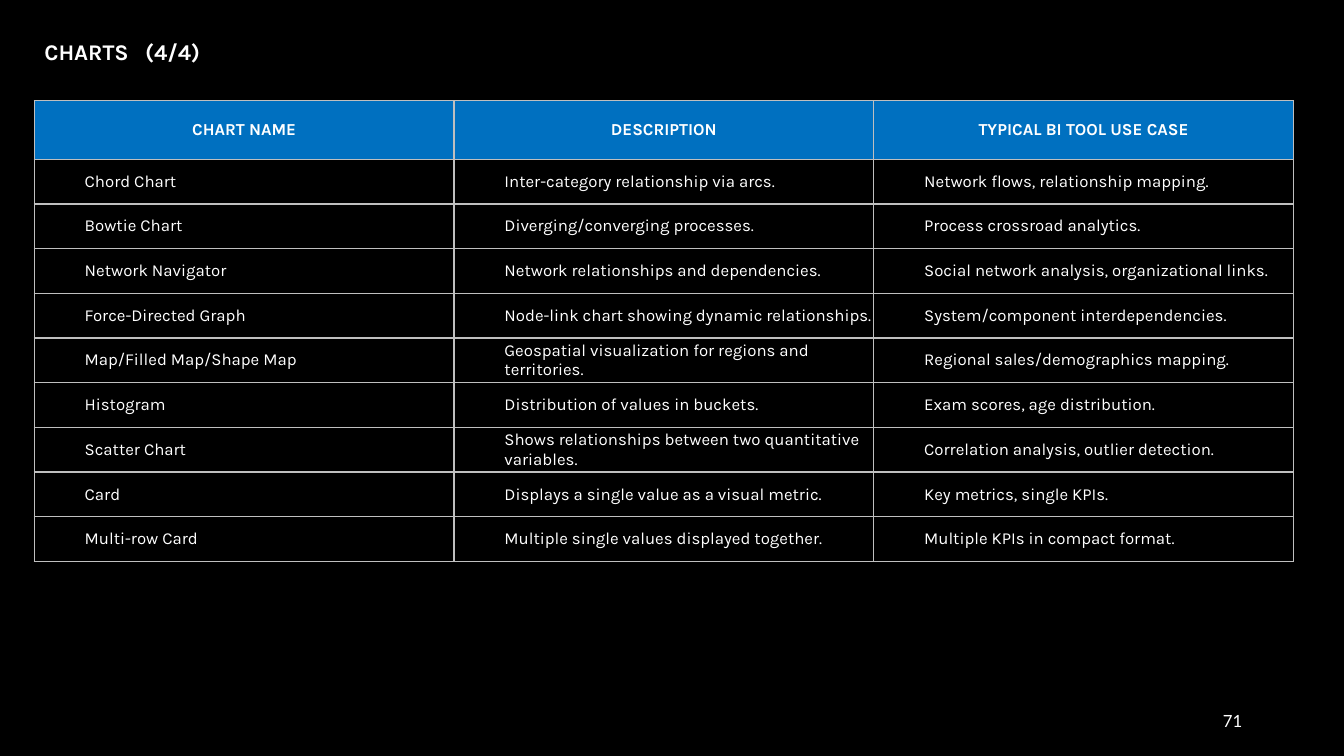
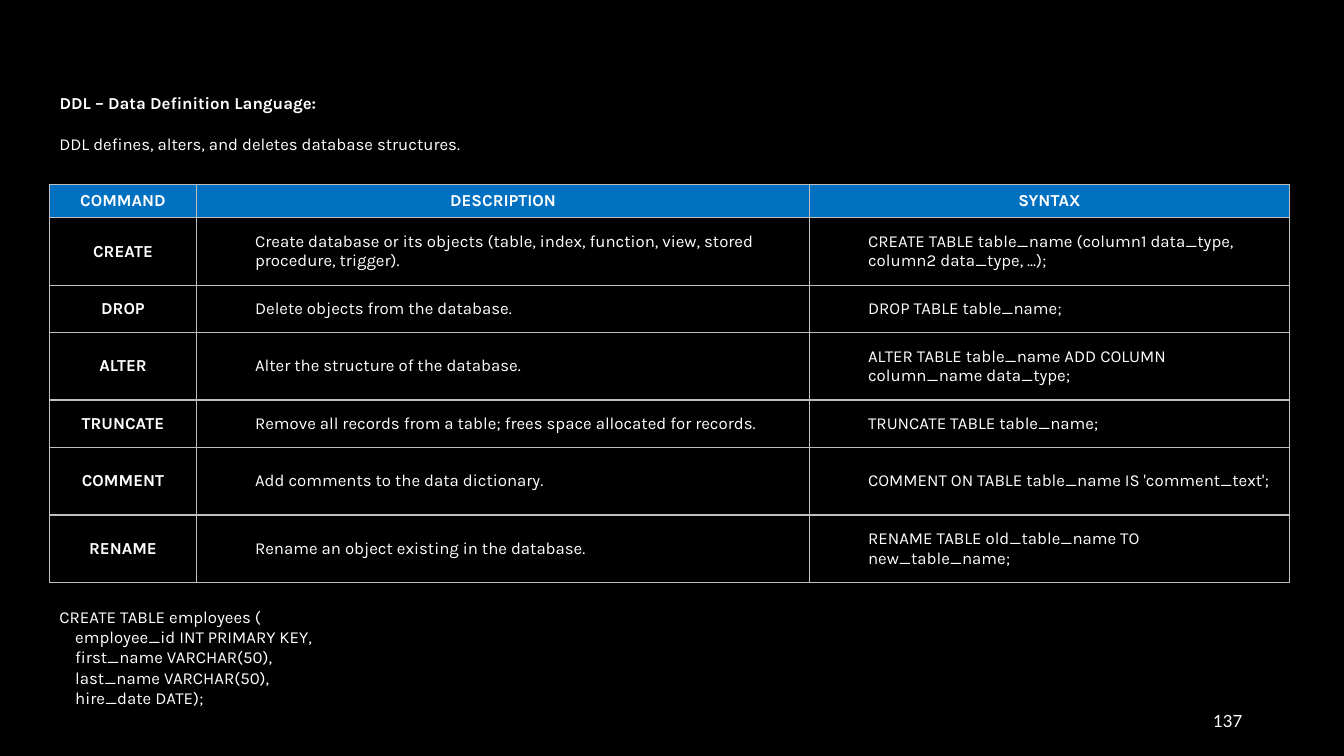
from lxml import etree
from pptx import Presentation
from pptx.dml.color import RGBColor
from pptx.enum.text import MSO_ANCHOR, PP_ALIGN
from pptx.oxml.ns import qn
from pptx.util import Inches, Pt

BLACK = RGBColor(0x00, 0x00, 0x00)
WHITE = RGBColor(0xFF, 0xFF, 0xFF)
BLUE = RGBColor(0x00, 0x70, 0xC0)
GREY = RGBColor(0xBF, 0xBF, 0xBF)

LEFT, CENTER, RIGHT = PP_ALIGN.LEFT, PP_ALIGN.CENTER, PP_ALIGN.RIGHT
MIDDLE = MSO_ANCHOR.MIDDLE
TITLE_ONLY = 5

BODY = {"name": "Karla", "size": Pt(12), "bold": False}
BOLD = BODY | {"bold": True}
TITLE = BOLD | {"size": Pt(16)}
NUMBER = BODY | {"name": "Lato"}

CHARTS = [
    ("CHART NAME", "DESCRIPTION", "TYPICAL BI TOOL USE CASE"),
    ("Chord Chart", "Inter-category relationship via arcs.",
     "Network flows, relationship mapping."),
    ("Bowtie Chart", "Diverging/converging processes.",
     "Process crossroad analytics."),
    ("Network Navigator", "Network relationships and dependencies.",
     "Social network analysis, organizational links."),
    ("Force-Directed Graph", "Node-link chart showing dynamic relationships.",
     "System/component interdependencies."),
    ("Map/Filled Map/Shape Map",
     "Geospatial visualization for regions and territories.",
     "Regional sales/demographics mapping."),
    ("Histogram", "Distribution of values in buckets.",
     "Exam scores, age distribution."),
    ("Scatter Chart",
     "Shows relationships between two quantitative variables.",
     "Correlation analysis, outlier detection."),
    ("Card", "Displays a single value as a visual metric.",
     "Key metrics, single KPIs."),
    ("Multi-row Card", "Multiple single values displayed together.",
     "Multiple KPIs in compact format."),
]

COMMANDS = [
    ("COMMAND", "DESCRIPTION", "SYNTAX"),
    ("CREATE", "Create database or its objects (table, index, function, view, "
     "stored procedure, trigger).",
     "CREATE TABLE table_name (column1 data_type, column2 data_type, ...);"),
    ("DROP", "Delete objects from the database.", "DROP TABLE table_name;"),
    ("ALTER", "Alter the structure of the database.",
     "ALTER TABLE table_name ADD COLUMN column_name data_type;"),
    ("TRUNCATE",
     "Remove all records from a table; frees space allocated for records.",
     "TRUNCATE TABLE table_name;"),
    ("COMMENT", "Add comments to the data dictionary.",
     "COMMENT ON TABLE table_name IS 'comment_text';"),
    ("RENAME", "Rename an object existing in the database.",
     "RENAME TABLE old_table_name TO new_table_name;"),
]

CODE = """CREATE TABLE employees (
    employee_id INT PRIMARY KEY,
    first_name VARCHAR(50),
    last_name VARCHAR(50),
    hire_date DATE);"""


def write(frame, text, style, align=LEFT):
    frame.word_wrap = True
    frame.vertical_anchor = MIDDLE
    frame.text = text
    for para in frame.paragraphs:
        para.alignment = align
        for key, value in style.items():
            setattr(para.font, key, value)
        para.font.color.rgb = WHITE


def add_text(slide, box, text, style=BODY, align=LEFT):
    shape = slide.shapes.add_textbox(*map(Inches, box))
    write(shape.text_frame, text, style, align)


def set_title(slide, box, text, style, tab=None):
    """Place the title; tab is the stop, in inches, for text after a tab."""
    title = slide.shapes.title
    title.left, title.top, title.width, title.height = map(Inches, box)
    frame = title.text_frame
    frame.text = text
    if tab:
        props = frame.paragraphs[0]._p.get_or_add_pPr()
        stops = etree.SubElement(props, qn("a:tabLst"))
        etree.SubElement(stops, qn("a:tab"), pos=str(Inches(tab)), algn="l")
    write(frame, text, style)


def add_borders(cell):
    props = cell._tc.get_or_add_tcPr()
    for side in ("lnL", "lnR", "lnT", "lnB"):
        line = etree.SubElement(props, qn(f"a:{side}"), w=str(Pt(1)))
        fill = etree.SubElement(line, qn("a:solidFill"))
        etree.SubElement(fill, qn("a:srgbClr"), val=str(GREY))


def fill_cell(cell, text, head, key, pad):
    """Fill one cell; head and key cells are bold and centred."""
    strong = head or key
    side, edge = map(Inches, pad)
    cell.margin_left = cell.margin_right = side
    cell.margin_top = cell.margin_bottom = edge
    cell.vertical_anchor = MIDDLE
    write(cell.text_frame, text, BOLD if strong else BODY,
          CENTER if strong else LEFT)
    if not strong:
        props = cell.text_frame.paragraphs[0]._p.get_or_add_pPr()
        props.set("marL", str(Inches(0.5)))
    add_borders(cell)
    if head:
        cell.fill.solid()
        cell.fill.fore_color.rgb = BLUE
    else:
        cell.fill.background()


def add_grid(slide, spot, rows, widths, heights, pad=(0, 0), keyed=False):
    """Add a table; keyed makes the first column a bold key."""
    box = (*spot, sum(widths), sum(heights))
    table = slide.shapes.add_table(
        len(rows), len(widths), *map(Inches, box)).table
    for col, width in zip(table.columns, widths):
        col.width = Inches(width)
    for row, height in zip(table.rows, heights):
        row.height = Inches(height)
    for r, texts in enumerate(rows):
        for c, text in enumerate(texts):
            fill_cell(table.cell(r, c), text, r == 0, keyed and c == 0, pad)


def add_slide(deck, number):
    slide = deck.slides.add_slide(deck.slide_layouts[TITLE_ONLY])
    add_text(slide, (9.42, 6.95, 3, 0.4), number, NUMBER, RIGHT)
    return slide


def add_charts(deck):
    slide = add_slide(deck, "71")
    set_title(slide, (0.34, 0.24, 12.66, 0.54), "CHARTS\t(4/4)", TITLE, tab=11)
    count = len(CHARTS) - 1
    add_grid(slide, (0.34, 1), CHARTS, [12.49 / 3] * 3,
             [0.58] + [3.99 / count] * count)


def add_ddl(deck):
    slide = add_slide(deck, "137")
    left, width = 0.49, 6.86
    set_title(slide, (left, 0.77, width, 0.5),
              "DDL – Data Definition Language:", BOLD)
    add_text(slide, (left, 1.23, width, 0.4),
             "DDL defines, alters, and deletes database structures.")
    low, tall = 0.47, 0.67
    add_grid(slide, (left, 1.83), COMMANDS, [1.46, 6.08, 4.76],
             [0.33, tall, low, tall, low, tall, tall],
             pad=(0.08, 0.04), keyed=True)
    add_text(slide, (left, 5.98, width, 1.08), CODE)


def main():
    deck = Presentation()
    deck.slide_width, deck.slide_height = Inches(13.33), Inches(7.5)
    back = deck.slide_master.background.fill
    back.solid()
    back.fore_color.rgb = BLACK
    add_charts(deck)
    add_ddl(deck)
    deck.save("out.pptx")


if __name__ == "__main__":
    main()
